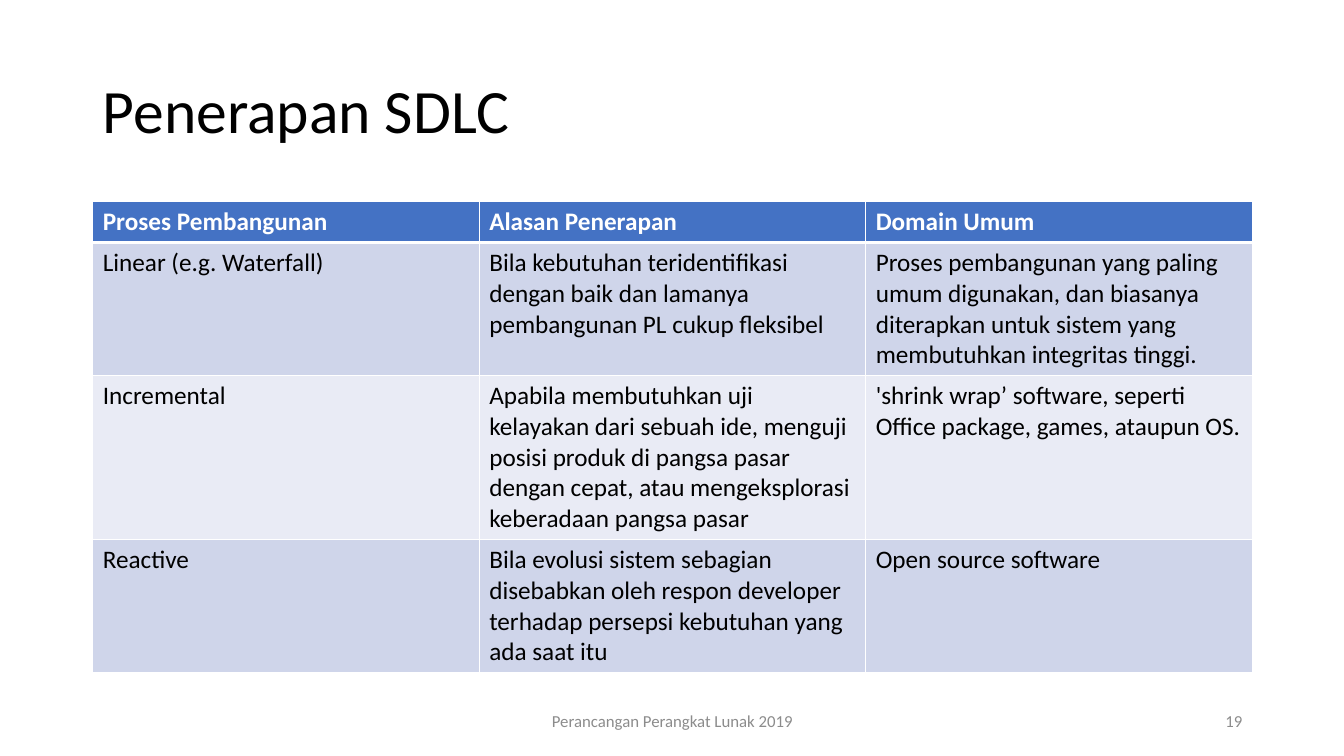
from lxml.etree import SubElement
from pptx import Presentation
from pptx.dml.color import RGBColor
from pptx.enum.text import MSO_ANCHOR, MSO_AUTO_SIZE, PP_ALIGN
from pptx.oxml.ns import qn
from pptx.util import Inches, Pt

COLORS = {
    "text": "000000",
    "white": "FFFFFF",
    "header": "4472C4",
    "band_dark": "CFD5EA",
    "band_light": "E9EBF5",
    "footer": "8C8C8C",
}
ROWS = [
    ("Proses Pembangunan", "Alasan Penerapan", "Domain Umum"),
    (
        "Linear (e.g. Waterfall)",
        "Bila kebutuhan teridentifikasi dengan baik dan lamanya pembangunan PL cukup fleksibel",
        "Proses pembangunan yang paling umum digunakan, dan biasanya diterapkan "
        "untuk sistem yang membutuhkan integritas tinggi.",
    ),
    (
        "Incremental",
        "Apabila membutuhkan uji kelayakan dari sebuah ide, menguji posisi produk "
        "di pangsa pasar dengan cepat, atau mengeksplorasi keberadaan pangsa pasar",
        "'shrink wrap’ software, seperti Office package, games, ataupun OS.",
    ),
    (
        "Reactive",
        "Bila evolusi sistem sebagian disebabkan oleh respon developer terhadap "
        "persepsi kebutuhan yang ada saat itu",
        "Open source software",
    ),
]
ROW_LINES = [1, 4, 5, 4]
ROW_FILLS = ["header", "band_dark", "band_light", "band_dark"]
FOOTERS = [
    ("Perancangan Perangkat Lunak 2019", 4.42, 4.5, PP_ALIGN.CENTER),
    ("19", 9.42, 3, PP_ALIGN.RIGHT),
]


def write_text(tf, text, size, color, bold=False, align=PP_ALIGN.LEFT):
    p = tf.paragraphs[0]
    p.alignment = align
    r = p.add_run()
    r.text = text
    for name, value in {"name": "Calibri", "size": Pt(size), "bold": bold}.items():
        setattr(r.font, name, value)
    r.font.color.rgb = RGBColor.from_string(COLORS[color])
    return p


def add_border(tcPr, side, width):
    ln = SubElement(tcPr, qn(f"a:ln{side}"), w=str(Pt(width)))
    fill = SubElement(ln, qn("a:solidFill"))
    SubElement(fill, qn("a:srgbClr"), val=COLORS["white"])


prs = Presentation()
prs.slide_width = Inches(13.33)
prs.slide_height = Inches(7.5)
s = prs.slides.add_slide(prs.slide_layouts[5])

title = s.shapes.title
box = {"left": 0.92, "top": 0.4, "width": 11.5, "height": 1.45}
for name, value in box.items():
    setattr(title, name, Inches(value))
tf = title.text_frame
tf.auto_size = MSO_AUTO_SIZE.NONE
tf.vertical_anchor = MSO_ANCHOR.MIDDLE
p = write_text(tf, "Penerapan SDLC", 44, "text")
p.line_spacing = 0.9

heights = [Inches(0.1 + 0.305 * lines) for lines in ROW_LINES]
table = s.shapes.add_table(
    len(ROWS), 3, Inches(0.92), Inches(2), Inches(11.5), sum(heights)
).table
for i, texts in enumerate(ROWS):
    table.rows[i].height = heights[i]
    is_header = i == 0
    widths = {"L": 1, "R": 1, "T": 3 if i == 1 else 1, "B": 3 if is_header else 1}
    for j, text in enumerate(texts):
        cell = table.cell(i, j)
        write_text(cell.text_frame, text, 18, "white" if is_header else "text", is_header)
        tcPr = cell._tc.get_or_add_tcPr()
        for side, width in widths.items():
            add_border(tcPr, side, width)
        cell.fill.solid()
        cell.fill.fore_color.rgb = RGBColor.from_string(COLORS[ROW_FILLS[i]])

for text, left, width, align in FOOTERS:
    sp = s.shapes.add_textbox(Inches(left), Inches(6.95), Inches(width), Inches(0.4))
    tf = sp.text_frame
    tf.word_wrap = True
    tf.vertical_anchor = MSO_ANCHOR.MIDDLE
    write_text(tf, text, 12, "footer", align=align)

prs.save("out.pptx")
